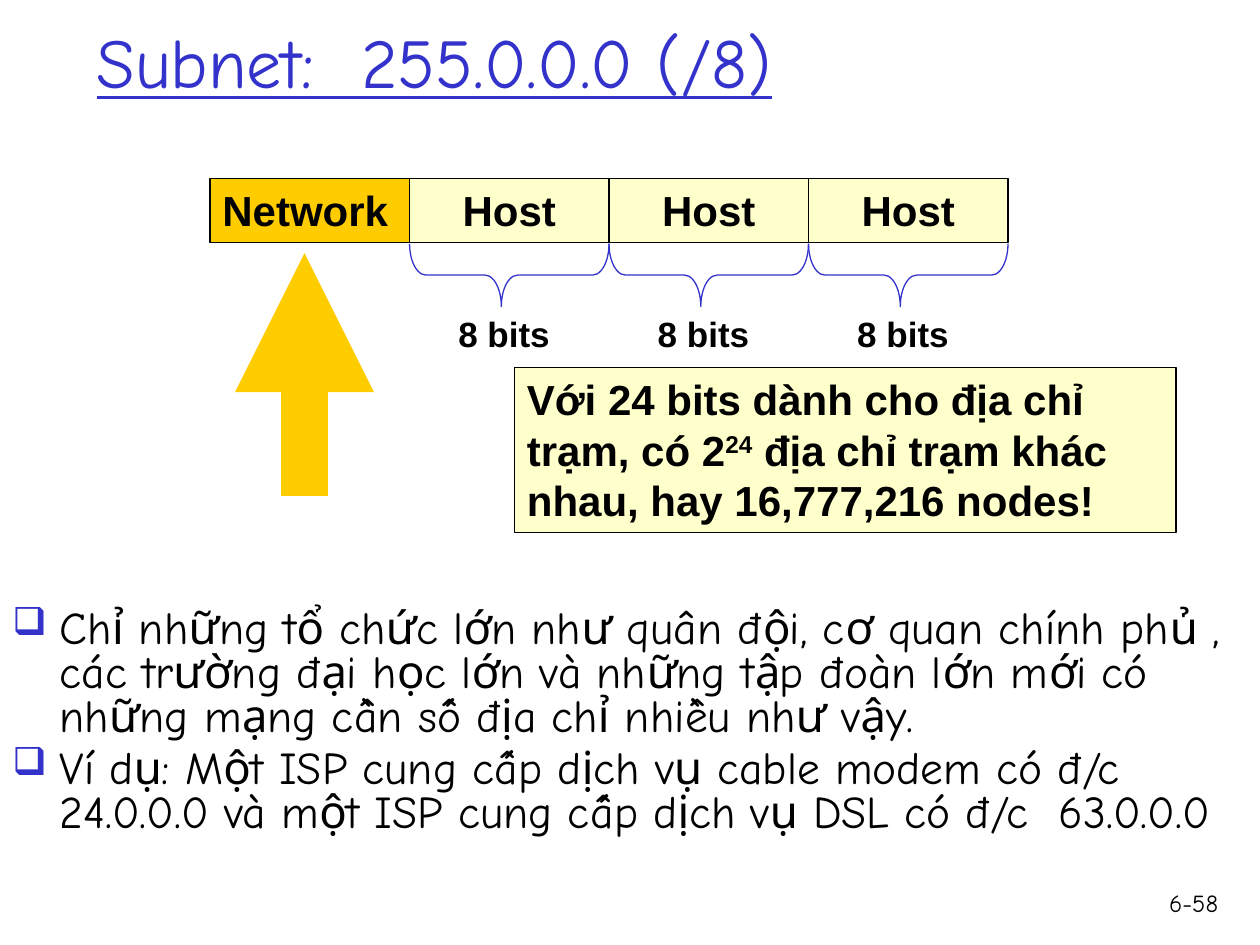
from lxml import etree
from pptx import Presentation
from pptx import util as u
from pptx.dml.color import RGBColor
from pptx.enum import shapes, text
from pptx.oxml.ns import qn

PX = 7620
SANS, HAND = "Arial", "Comic Neue"
BLACK, BLUE, GOLD, CREAM = "000000", "3333CC", "FFCC00", "FFFFCC"
LEFT, CENTER, RIGHT = text.PP_ALIGN.LEFT, text.PP_ALIGN.CENTER, text.PP_ALIGN.RIGHT


def rgb(value):
    return RGBColor.from_string(value)


def px(*values):
    return [u.Emu(v * PX) for v in values]


def add_xml(parent, tag, **attributes):
    return etree.SubElement(parent, qn(tag), attributes)


def style(p, size, font, color=BLACK, bold=False, align=LEFT):
    p.alignment = align
    for r in p.runs:
        r.font.size = u.Pt(size)
        r.font.name = font
        r.font.bold = bold
        r.font.color.rgb = rgb(color)


def add_label(s, box, words, size, font, bold=False, align=LEFT):
    sp = s.shapes.add_textbox(*px(*box))
    tf = sp.text_frame
    tf.word_wrap = True
    tf.text = words
    style(tf.paragraphs[0], size, font, bold=bold, align=align)


def add_box(s, box, fill):
    sp = s.shapes.add_shape(shapes.MSO_SHAPE.RECTANGLE, *px(*box))
    sp.shadow.inherit = False
    sp.fill.solid()
    sp.fill.fore_color.rgb = rgb(fill)
    sp.line.color.rgb = rgb(BLACK)
    sp.line.width = u.Pt(0.75)
    tf = sp.text_frame
    tf.word_wrap = True
    tf.vertical_anchor = text.MSO_ANCHOR.TOP
    return tf


def add_title(s, box, words):
    sp = s.shapes.title
    sp.left, sp.top, sp.width, sp.height = px(*box)
    tf = sp.text_frame
    tf.text = words
    tf.vertical_anchor = text.MSO_ANCHOR.MIDDLE
    p = tf.paragraphs[0]
    style(p, 40, HAND, BLUE)
    p.runs[0].font.underline = True


def add_brace(s, box):
    left, top, width, height = box
    shift = (width - height) // 2
    sp = s.shapes.add_shape(shapes.MSO_SHAPE.RIGHT_BRACE,
                            *px(left + shift, top - shift, height, width))
    sp.rotation = 90
    sp.adjustments[0], sp.adjustments[1] = 0.26, 0.54
    sp.shadow.inherit = False
    sp.fill.background()
    sp.line.color.rgb = rgb(BLUE)
    sp.line.width = u.Pt(0.75)


def add_address(s, box, parts):
    left, top, width, height = box
    cell = width // len(parts)
    for i, part in enumerate(parts):
        x = left + i * cell
        is_host = part == "Host"
        tf = add_box(s, (x, top, cell, height), CREAM if is_host else GOLD)
        tf.text = part
        style(tf.paragraphs[0], 24, SANS, bold=True, align=CENTER if is_host else LEFT)
        if is_host:
            add_brace(s, (x, top + height + 1, cell, 60))
            add_label(s, (x + 10, top + 122, cell - 30, 52), "8 bits", 20, SANS, True, CENTER)


def add_arrow(s, x, bottom, top):
    line = s.shapes.add_connector(shapes.MSO_CONNECTOR.STRAIGHT, *px(x, bottom, x, top))
    line.line.color.rgb = rgb(GOLD)
    line.line.width = u.Pt(26.5)
    add_xml(line.line._get_or_add_ln(), "a:tailEnd", type="triangle")
    add_xml(line._element.spPr, "a:effectLst")


def add_note(s, box, before, power, after):
    p = add_box(s, box, CREAM).paragraphs[0]
    for words in (before, power, after):
        p.add_run().text = words
    style(p, 24, SANS, bold=True)
    p.runs[1].font._element.set("baseline", "30000")


def add_bullets(s, box, items):
    tf = s.shapes.add_textbox(*px(*box)).text_frame
    tf.word_wrap = True
    for i, item in enumerate(items):
        p = tf.add_paragraph() if i else tf.paragraphs[0]
        p.text = item
        p.line_spacing = 0.8
        if i:
            p.space_before = u.Pt(5.2)
        pPr = p._p.get_or_add_pPr()
        indent = 45 * PX
        pPr.set("marL", str(indent))
        pPr.set("indent", str(-indent))
        add_xml(add_xml(pPr, "a:buClr"), "a:srgbClr", val=BLUE)
        add_xml(pPr, "a:buSzPct", val="85000")
        add_xml(pPr, "a:buChar", char="❑")
        style(p, 26, HAND)


def main():
    prs = Presentation()
    prs.slide_width, prs.slide_height = px(1200, 900)
    s = prs.slides.add_slide(prs.slide_layouts[5])
    add_title(s, (80, 0, 1045, 116), "Subnet:  255.0.0.0 (/8)")
    add_address(s, (200, 170, 760, 61), ["Network", "Host", "Host", "Host"])
    add_arrow(s, 290, 472, 241)
    add_note(s, (490, 350, 630, 157), "Với 24 bits dành cho địa chỉ trạm, có 2", "24",
             " địa chỉ trạm khác nhau, hay 16,777,216 nodes!")
    add_bullets(s, (0, 575, 1200, 289), [
        "Chỉ những tổ chức lớn như quân đội, cơ quan chính phủ , các trường đại học lớn "
        "và những tập đoàn lớn mới có những mạng cần số địa chỉ nhiều như vậy.",
        "Ví dụ: Một ISP cung cấp dịch vụ cable modem có đ/c 24.0.0.0 "
        "và một ISP cung cấp dịch vụ DSL có đ/c  63.0.0.0",
    ])
    add_label(s, (1090, 840, 82, 60), "6-58", 14, HAND, align=RIGHT)
    prs.save("out.pptx")


if __name__ == "__main__":
    main()
